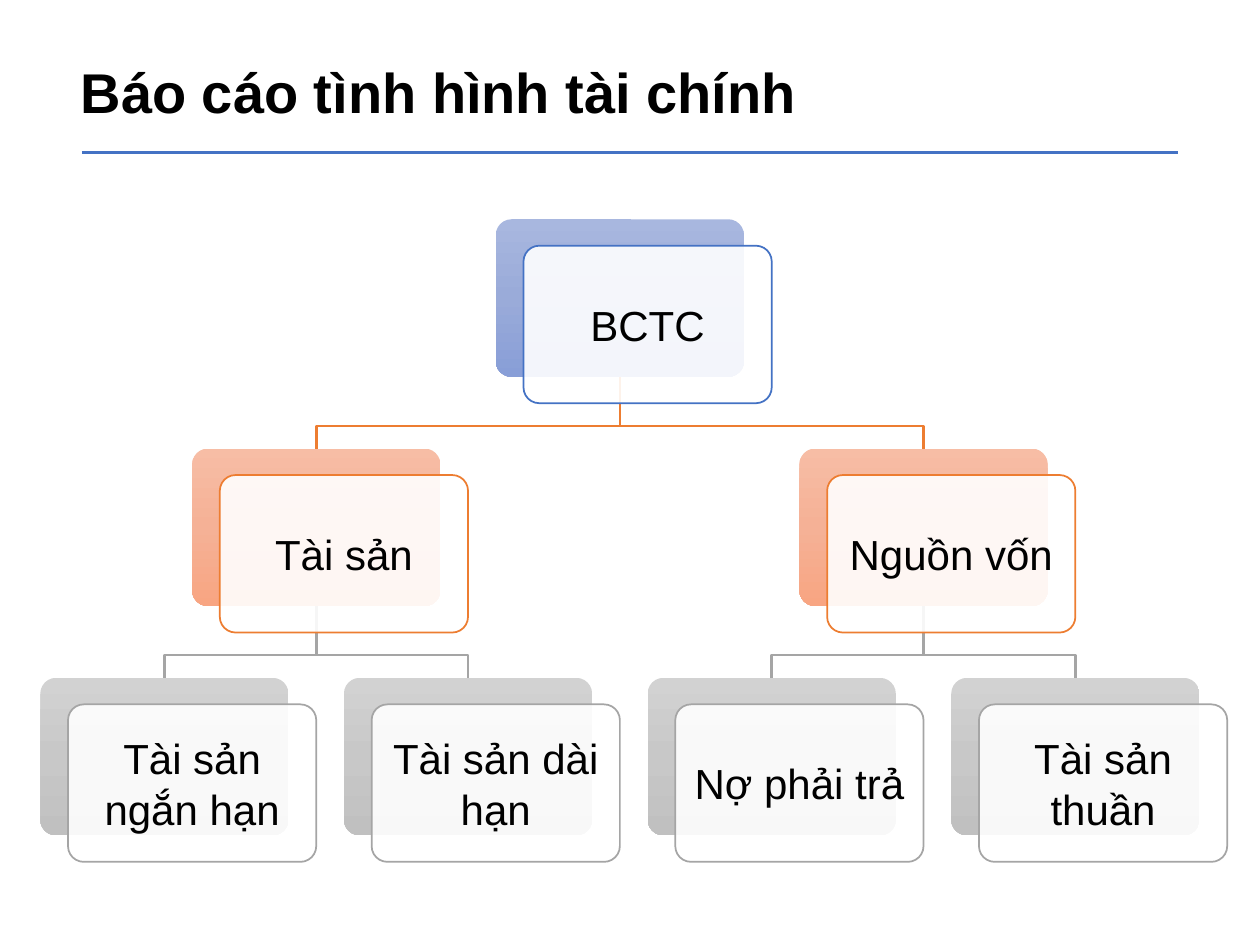
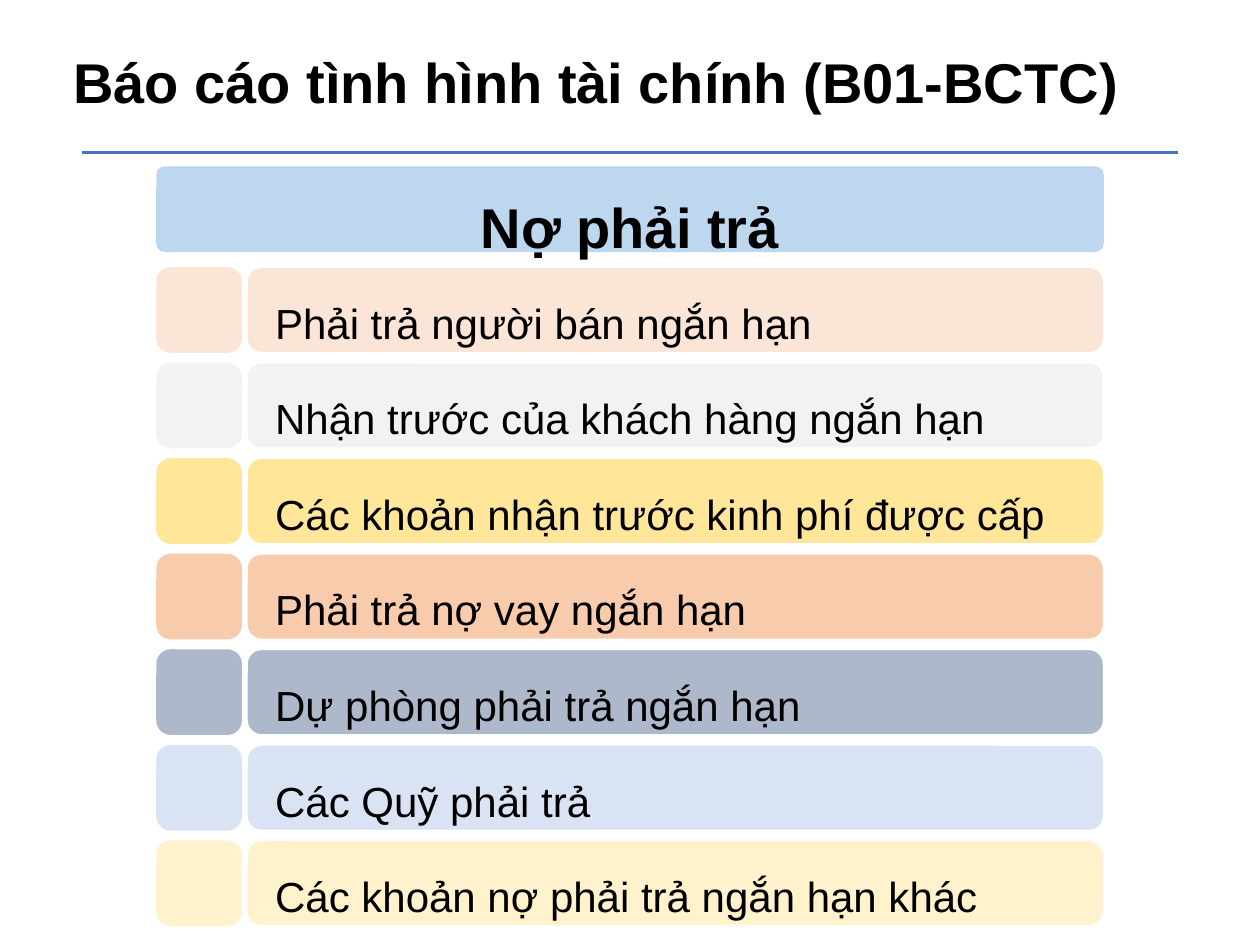
from copy import deepcopy

from lxml import etree
from pptx import Presentation
from pptx.dml.color import RGBColor
from pptx.enum.shapes import MSO_CONNECTOR as Connector, MSO_SHAPE as Shape
from pptx.enum.text import MSO_ANCHOR as Anchor, MSO_AUTO_SIZE as AutoSize, PP_ALIGN as Align
from pptx.oxml.ns import qn
from pptx.util import Inches, Pt

FONT = "Arial"
COLORS = {
    "text": "000000",
    "white": "FFFFFF",
    "blue": "4472C4",
    "orange": "ED7D31",
    "gray": "A5A5A5",
    "heading": "BDD7EE",
}

# Outline colour and gradient of the cards at each depth of the tree
LEVELS = [
    ("blue", ["A8B7DF", "9AABD9", "889ED7"]),
    ("orange", ["F7BDA5", "F5B196", "F8A582"]),
    ("gray", ["D2D2D2", "C8C8C8", "C0C0C0"]),
]
REPORT_TREE = ("BCTC", [
    ("Tài sản", [("Tài sản ngắn hạn", []), ("Tài sản dài hạn", [])]),
    ("Nguồn vốn", [("Nợ phải trả", []), ("Tài sản thuần", [])]),
])
LIABILITIES = [
    ("Phải trả người bán ngắn hạn", "FBE5D6"),
    ("Nhận trước của khách hàng ngắn hạn", "F2F2F2"),
    ("Các khoản nhận trước kinh phí được cấp", "FFE699"),
    ("Phải trả nợ vay ngắn hạn", "F8CBAD"),
    ("Dự phòng phải trả ngắn hạn", "ADB9CA"),
    ("Các Quỹ phải trả", "DAE3F3"),
    ("Các khoản nợ phải trả ngắn hạn khác", "FFF2CC"),
]

CARD_W, CARD_H = 1.97, 1.25
CARD_SHIFT_X, CARD_SHIFT_Y = 0.22, 0.21
TREE_LEFT, TREE_TOP = 0.32, 1.74
LEAF_STEP, LEVEL_STEP = 2.41, 1.82
ELBOW_DROP = 0.39


def rgb(color):
    return RGBColor.from_string(COLORS.get(color, color))


class Deck:
    def __init__(self):
        self.prs = Presentation()
        self.prs.slide_width, self.prs.slide_height = Inches(10), Inches(7.5)
        self.slide = None

    def new_slide(self, heading, left, top, width):
        self.slide = self.prs.slides.add_slide(self.prs.slide_layouts[5])
        title = self.slide.shapes.title
        title.left, title.top = Inches(left), Inches(top)
        title.width, title.height = Inches(width), Inches(0.64)
        self.add_text(title, heading, 32, Align.JUSTIFY, bold=True, anchor=Anchor.TOP)
        title.text_frame.auto_size = AutoSize.NONE
        self.rule(0.65, 9.35, 1.21)

    def rule(self, start, end, y):
        line = self.slide.shapes.add_connector(
            Connector.STRAIGHT, Inches(start), Inches(y), Inches(end), Inches(y))
        line.line.color.rgb = rgb("blue")
        line.line.width = Pt(1.5)
        etree.SubElement(line._element.spPr, qn("a:effectLst"))

    def add_text(self, shape, words, size, align, bold=False, spacing=1.0,
                 insets=(0.1, 0.05), anchor=Anchor.MIDDLE):
        frame = shape.text_frame
        frame.word_wrap = True
        frame.vertical_anchor = anchor
        frame.margin_left = frame.margin_right = Inches(insets[0])
        frame.margin_top = frame.margin_bottom = Inches(insets[1])
        paragraph = frame.paragraphs[0]
        paragraph.alignment = align
        paragraph.line_spacing = spacing
        run = paragraph.add_run()
        run.text = words
        run.font.name, run.font.size, run.font.bold = FONT, Pt(size), bold
        run.font.color.rgb = rgb("text")

    def rounded(self, left, top, width, height, corner, fill, outline=None):
        """Draw a rounded box; a list as fill gives a top-down gradient."""
        box = self.slide.shapes.add_shape(
            Shape.ROUNDED_RECTANGLE, Inches(left), Inches(top), Inches(width), Inches(height))
        box.adjustments[0] = corner
        box.shadow.inherit = False
        if isinstance(fill, list):
            self.gradient(box, fill)
        else:
            box.fill.solid()
            box.fill.fore_color.rgb = rgb(fill)
        if outline:
            box.line.color.rgb = rgb(outline)
            box.line.width = Pt(1)
        else:
            box.line.fill.background()
        return box

    def gradient(self, box, colors):
        box.fill.gradient()
        box.fill.gradient_angle = 270
        first = box._element.spPr.find(".//" + qn("a:gs"))
        first.addnext(deepcopy(first))
        for stop, color, position in zip(box.fill.gradient_stops, colors, (0, 0.5, 1)):
            stop.color.rgb = rgb(color)
            stop.position = position

    def elbow(self, start, end, color):
        (x1, y1), (x2, y2) = start, end
        bend = y1 + ELBOW_DROP
        builder = self.slide.shapes.build_freeform(Inches(x1), Inches(y1))
        builder.add_line_segments(
            [(Inches(x), Inches(y)) for x, y in ((x1, bend), (x2, bend), (x2, y2))], close=False)
        branch = builder.convert_to_shape()
        branch.shadow.inherit = False
        branch.fill.background()
        branch.line.color.rgb = rgb(color)
        branch.line.width = Pt(1.5)

    def card(self, left, top, words, outline, shades):
        self.rounded(left, top, CARD_W, CARD_H, 0.1, shades)
        front = self.rounded(left + CARD_SHIFT_X, top + CARD_SHIFT_Y,
                             CARD_W, CARD_H, 0.1, "white", outline)
        white = front._element.spPr.find(qn("a:solidFill"))[0]
        etree.SubElement(white, qn("a:alpha"), val="90000")
        self.add_text(front, words, 24, Align.CENTER, insets=(0.1, 0.1))

    def tree(self, node, depth=0, first_leaf=0):
        """Draw a branch, children first; return its left edge and leaf count."""
        words, children = node
        top = TREE_TOP + depth * LEVEL_STEP
        lefts, leaves = [], 0
        for child in children:
            child_left, count = self.tree(child, depth + 1, first_leaf + leaves)
            lefts.append(child_left)
            leaves += count
        if children:
            left = (lefts[0] + lefts[-1]) / 2
        else:
            left, leaves = TREE_LEFT + first_leaf * LEAF_STEP, 1
        middle = CARD_W / 2
        for child_left in lefts:
            self.elbow((left + middle, top + CARD_H),
                       (child_left + middle, top + LEVEL_STEP), LEVELS[depth + 1][0])
        self.card(left, top, words, *LEVELS[depth])
        return left, leaves

    def item_list(self, heading, items):
        left, side, first_top, last_top = 1.24, 0.68, 2.12, 6.67
        banner = self.rounded(left, 1.32, 7.52, side, 0.1, "heading")
        self.add_text(banner, heading, 32, Align.CENTER, bold=True, spacing=1.5,
                      insets=(0.07, 0.04))
        step = (last_top - first_top) / (len(items) - 1)
        for index, (words, color) in enumerate(items):
            top = first_top + index * step
            self.rounded(left, top, side, side, 0.17, color)
            row = self.rounded(1.96, top, 6.8, side, 0.17, color, "white")
            self.add_text(row, words, 24, Align.JUSTIFY, spacing=1.5, insets=(0.19, 0.19))


def main():
    deck = Deck()
    deck.new_slide("Báo cáo tình hình tài chính", 0.54, 0.41, 6.1)
    deck.tree(REPORT_TREE)
    deck.new_slide("Báo cáo tình hình tài chính (B01-BCTC)", 0.48, 0.33, 8.65)
    deck.item_list("Nợ phải trả", LIABILITIES)
    deck.prs.save("out.pptx")


if __name__ == "__main__":
    main()
